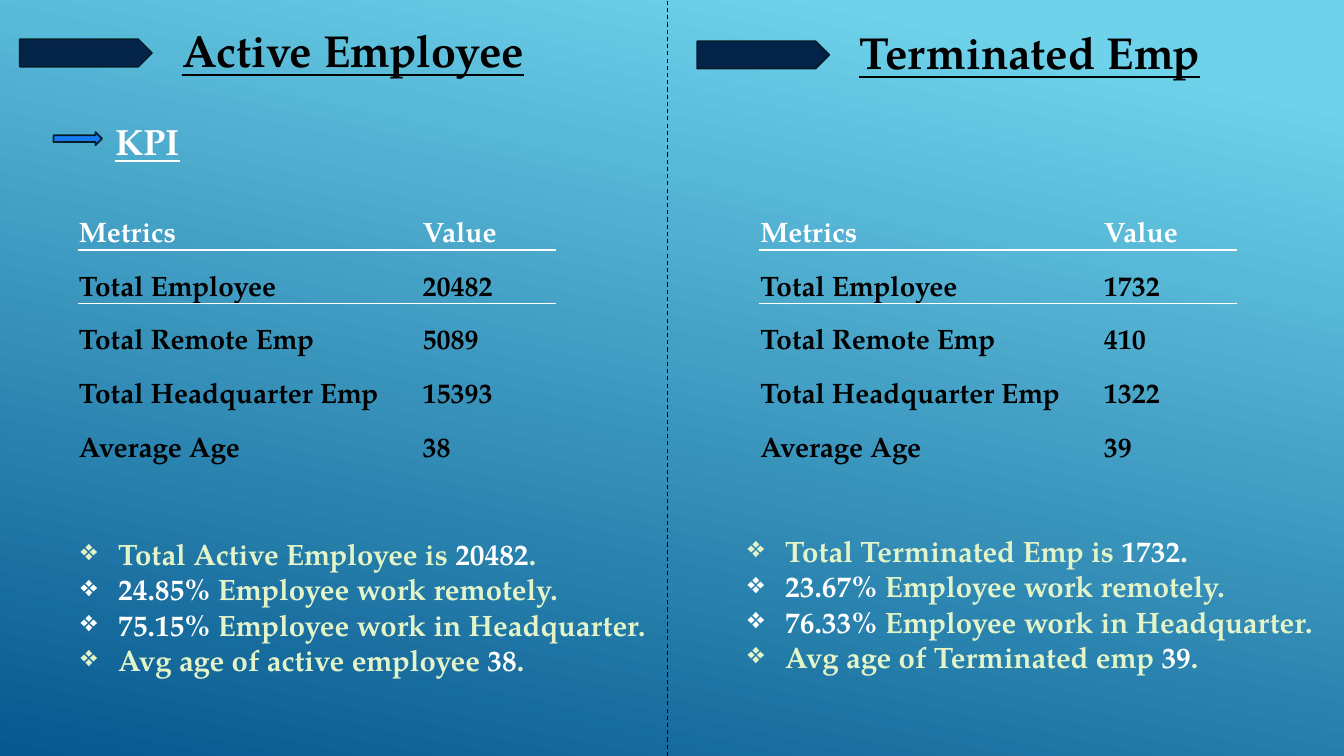
from lxml import etree
from pptx import Presentation, util as u
from pptx.dml.color import RGBColor
from pptx.enum import dml, shapes, text
from pptx.oxml import ns

FACE = "TeX Gyre Pagella"
BLACK, WHITE, PALE, EDGE = "000000", "FFFFFF", "E3F4C9", "021E2B"
NAMES = ["Total Employee", "Total Remote Emp", "Total Headquarter Emp", "Average Age"]
PLAIN = "{2D5ABB26-0587-4C30-8999-92F81FD0307C}"


def tint(color, code):
    """Give a colour format its hex colour."""
    color.rgb = RGBColor.from_string(code)


def style(font, size, code, under=None):
    """Set the bold face, size and colour of a font."""
    font.name, font.size, font.bold, font.underline = FACE, u.Pt(size), True, under
    tint(font.color, code)


def frame(slide, x, y, w, h):
    """Add a wrapping text box and return its text frame."""
    body = slide.shapes.add_textbox(u.Cm(x), u.Cm(y), u.Cm(w), u.Cm(h)).text_frame
    body.word_wrap = True
    return body


def label(slide, x, y, w, h, words, size, code):
    """Add an underlined title line."""
    para = frame(slide, x, y, w, h).paragraphs[0]
    para.text = words
    style(para.font, size, code, True)


def marker(slide, kind, x, y, w, h, code):
    """Add a filled pointer shape."""
    mark = slide.shapes.add_shape(kind, u.Cm(x), u.Cm(y), u.Cm(w), u.Cm(h))
    mark.shadow.inherit = False
    mark.fill.solid()
    tint(mark.fill.fore_color, code)
    tint(mark.line.color, EDGE)
    mark.line.width = u.Pt(1.25)


def heading(slide, x, y, words):
    """Place a pentagon marker with its title."""
    marker(slide, shapes.MSO_SHAPE.PENTAGON, x, y + 0.53, 3.33, 0.69, "042349")
    label(slide, x + 3.84, y, 11.33, 1.63, words, 32, BLACK)


def kpi(slide, x, y):
    """Place the KPI arrow and its caption."""
    marker(slide, shapes.MSO_SHAPE.RIGHT_ARROW, x, y + 0.46, 1.22, 0.33, "167BF3")
    label(slide, x + 1.3, y, 3.68, 1.37, "KPI", 26, WHITE)


def rule(cell, side):
    """Draw a white border on one side of a cell."""
    edge = etree.Element(ns.qn("a:" + side), w="12700")
    fill = etree.SubElement(edge, ns.qn("a:solidFill"))
    etree.SubElement(fill, ns.qn("a:srgbClr"), val=WHITE)
    cell._tc.get_or_add_tcPr().insert(0, edge)


def metrics(slide, x, y, values):
    """Place the table of metrics and values."""
    rows = [("Metrics", "Value"), *zip(NAMES, values)]
    grid = slide.shapes.add_table(len(rows), 2, u.Cm(x), u.Cm(y), u.Cm(12.04), u.Cm(6.75)).table
    grid.first_row = grid.horz_banding = False
    grid._tbl.tblPr.find(ns.qn("a:tableStyleId")).text = PLAIN
    for col, wide in zip(grid.columns, (8.66, 3.38)):
        col.width = u.Cm(wide)
    for i, row in enumerate(rows):
        grid.rows[i].height = u.Cm(1.35)
        for j, words in enumerate(row):
            cell = grid.cell(i, j)
            cell.text = words
            cell.vertical_anchor = text.MSO_ANCHOR.BOTTOM
            cell.margin_left = cell.margin_right = cell.margin_top = u.Cm(0.03)
            cell.margin_bottom = 0
            cell.fill.background()
            style(cell.text_frame.paragraphs[0].font, 20, BLACK if i else WHITE)
            if i < 2:
                rule(cell, "lnT" if i else "lnB")


def facts(slide, x, y, lines):
    """Place bulleted lines whose parts between bars are white."""
    body = frame(slide, x, y, 15.29, 3.84)
    for i, line in enumerate(lines):
        para = body.add_paragraph() if i else body.paragraphs[0]
        props = para._p.get_or_add_pPr()
        props.set("marL", str(u.Cm(0.95)))
        props.set("indent", str(-u.Cm(0.95)))
        etree.SubElement(props, ns.qn("a:buChar"), char="❖")
        for j, part in enumerate(line.split("|")):
            if part:
                run = para.add_run()
                run.text = part
                style(run.font, 21, WHITE if j % 2 else PALE)


def divide(slide, x, high):
    """Draw the dashed line between the halves."""
    line = slide.shapes.add_connector(shapes.MSO_CONNECTOR.STRAIGHT, u.Cm(x), high, u.Cm(x), 0)
    tint(line.line.color, BLACK)
    line.line.width = u.Pt(0.75)
    line.line.dash_style = dml.MSO_LINE.DASH
    etree.SubElement(line._element.spPr, ns.qn("a:effectLst"))


def backdrop(slide):
    """Fill the background with a blue gradient."""
    fill = slide.background.fill
    fill.gradient()
    fill.gradient_angle = 258
    for stop, (at, code) in zip(fill.gradient_stops, ((0.1, "6ED2EB"), (1, "06588E"))):
        stop.position = at
        tint(stop.color, code)


def main():
    """Build and save the slide."""
    deck = Presentation()
    deck.slide_width, deck.slide_height = u.Cm(33.87), u.Cm(19.05)
    slide = deck.slides.add_slide(deck.slide_layouts[6])
    backdrop(slide)
    heading(slide, 0.5, 0.46, "Active Employee")
    kpi(slide, 1.35, 2.87)
    metrics(slide, 1.96, 4.95, ["20482", "5089", "15393", "38"])
    facts(slide, 1.78, 13.39, [
        "Total Active Employee is |20482|.",
        "|24.85%| Employee work remotely.",
        "|75.15%| Employee work in Headquarter.",
        "Avg age of active employee |38|."])
    heading(slide, 17.57, 0.51, "Terminated Emp")
    metrics(slide, 19.13, 4.95, ["1732", "410", "1322", "39"])
    facts(slide, 18.59, 13.31, [
        "Total Terminated Emp is |1732.",
        "|23.67%| Employee work remotely.",
        "|76.33%| Employee work in Headquarter.",
        "Avg age of Terminated emp |39|."])
    divide(slide, 16.81, deck.slide_height)
    deck.save("out.pptx")


if __name__ == "__main__":
    main()
